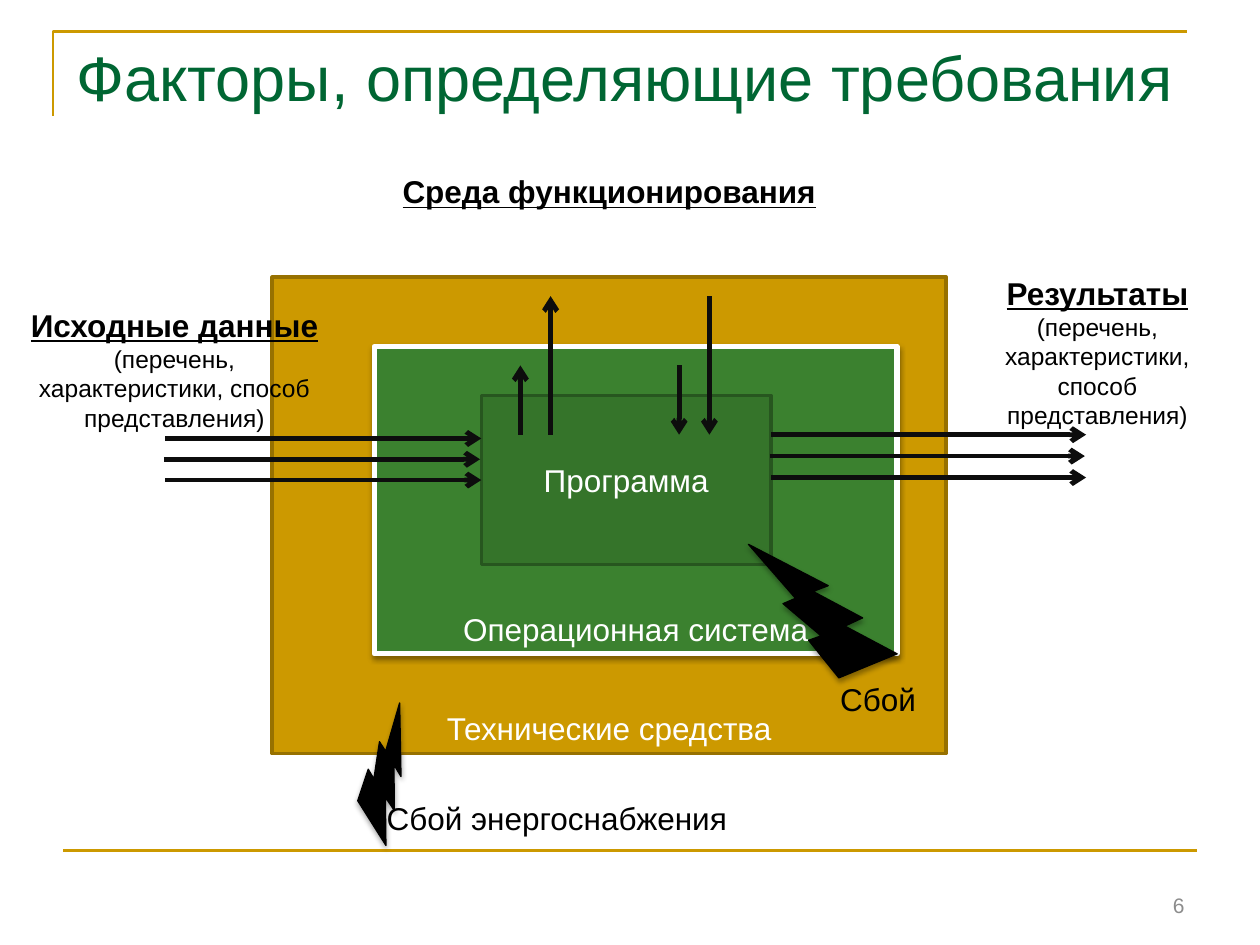
from lxml import etree
from pptx import Presentation
from pptx.dml.color import RGBColor
from pptx.enum.shapes import MSO_CONNECTOR, MSO_SHAPE
from pptx.enum.text import MSO_ANCHOR, PP_ALIGN
from pptx.oxml.ns import qn
from pptx.util import Inches, Pt

RECT, BOLT = MSO_SHAPE.RECTANGLE, MSO_SHAPE.LIGHTNING_BOLT
STRAIGHT = MSO_CONNECTOR.STRAIGHT
TOP, MIDDLE, BOTTOM = MSO_ANCHOR.TOP, MSO_ANCHOR.MIDDLE, MSO_ANCHOR.BOTTOM
LEFT, CENTER, RIGHT = PP_ALIGN.LEFT, PP_ALIGN.CENTER, PP_ALIGN.RIGHT

COLORS = {
    "gold": "CC9900", "gold_edge": "977100", "title": "006633",
    "system": "3B812F", "program": "35742A", "program_edge": "27561F",
    "arrow": "0D0D0D", "black": "000000", "white": "FFFFFF", "number": "8C8C8C",
}
BODY = {"size": Pt(18)}
HEADING = {"size": Pt(18), "bold": True, "underline": True}
DETAIL = {"size": Pt(14)}


class SlideBuilder:
    font = "Arial"

    def __init__(self, slide):
        self.s = slide

    def color(self, name):
        return RGBColor.from_string(COLORS[name])

    def outline(self, sp, color, width):
        sp.line.color.rgb = self.color(color)
        sp.line.width = Pt(width)

    def fill_text(self, sp, paragraphs, color="black", align=LEFT, anchor=TOP):
        tf = sp.text_frame
        tf.word_wrap = True
        tf.vertical_anchor = anchor
        for i, runs in enumerate(paragraphs):
            p = tf.add_paragraph() if i else tf.paragraphs[0]
            p.alignment = align
            for text, style in runs:
                r = p.add_run()
                r.text = text
                r.font.name = self.font
                r.font.color.rgb = self.color(color)
                for name, value in style.items():
                    setattr(r.font, name, value)

    def text(self, box, paragraphs, **layout):
        sp = self.s.shapes.add_textbox(*map(Inches, box))
        self.fill_text(sp, paragraphs, **layout)
        return sp

    def shape(self, kind, box, fill, edge, width, rotation=0):
        sp = self.s.shapes.add_shape(kind, *map(Inches, box))
        sp.shadow.inherit = False
        sp.fill.solid()
        sp.fill.fore_color.rgb = self.color(fill)
        self.outline(sp, edge, width)
        sp.rotation = rotation
        return sp

    def block(self, box, label, fill, edge, width, anchor=BOTTOM):
        sp = self.shape(RECT, box, fill, edge, width)
        self.fill_text(sp, [[(label, BODY)]], color="white", align=CENTER, anchor=anchor)
        return sp

    def bolt(self, box, rotation):
        sp = self.shape(BOLT, box, "black", "black", 0.75, rotation)
        self.shadow(sp, 35, 1.8)

    def shadow(self, sp, opacity, distance):
        effects = sp._element.spPr.find(qn("a:effectLst"))
        outer = etree.SubElement(
            effects, qn("a:outerShdw"), blurRad=str(Pt(3.1)), dist=str(Pt(distance)),
            dir="5400000", rotWithShape="0")
        rgb = etree.SubElement(outer, qn("a:srgbClr"), val=COLORS["black"])
        etree.SubElement(rgb, qn("a:alpha"), val=str(opacity * 1000))

    def line(self, start, end, color="gold", width=1.5):
        sp = self.s.shapes.add_connector(STRAIGHT, *map(Inches, (*start, *end)))
        self.outline(sp, color, width)
        etree.SubElement(sp._element.spPr, qn("a:effectLst"))
        return sp

    def arrow(self, start, end):
        sp = self.line(start, end, "arrow", 2.75)
        ln = sp._element.spPr.find(qn("a:ln"))
        etree.SubElement(ln, qn("a:tailEnd"), type="arrow")
        return sp

    def corner(self, points):
        (x, y), *rest = [(Inches(x), Inches(y)) for x, y in points]
        fb = self.s.shapes.build_freeform(x, y)
        fb.add_line_segments(rest, close=False)
        sp = fb.convert_to_shape()
        sp.shadow.inherit = False
        sp.fill.background()
        self.outline(sp, "gold", 1.5)


def main():
    prs = Presentation()
    prs.slide_width, prs.slide_height = Inches(10), Inches(7.5)
    b = SlideBuilder(prs.slides.add_slide(prs.slide_layouts[6]))

    b.corner([(0.42, 0.92), (0.42, 0.25), (9.42, 0.25)])
    b.line((0.5, 6.75), (9.5, 6.75))
    title = b.text((0.51, 0.21, 9.49, 0.87),
                   [[("Факторы, определяющие требования", {"size": Pt(36)})]], color="title")
    title.text_frame.margin_top = Inches(0.1)
    b.text((7.17, 6.83, 2.33, 0.5), [[("6", {"size": Pt(12)})]],
           color="number", align=RIGHT, anchor=BOTTOM)

    b.block((2.16, 2.2, 5.35, 3.78), "Технические средства", "gold", "gold_edge", 2)
    system = b.block((2.97, 2.75, 4.15, 2.44), "Операционная система", "system", "white", 3)
    b.shadow(system, 38, 1.6)
    b.text((6.57, 5.35, 0.94, 0.4), [[("Сбой", BODY)]])
    b.text((2.97, 6.29, 3.15, 0.4), [[("Сбой энергоснабжения", BODY)]])
    b.bolt((2.55, 5.88, 1.04, 0.56), 251.7)
    program = b.block((3.82, 3.14, 2.3, 1.34), "Программа", "program", "program_edge", 2, MIDDLE)
    b.bolt((5.94, 4.32, 1.18, 1.06), 180)

    for x_up, y in ((4.37, 2.35), (4.13, 2.9)):
        x_down = x_up + 1.26
        b.arrow((x_up, 3.45), (x_up, y))
        b.arrow((x_down, y), (x_down, 3.45))

    for i, shift in enumerate((0, -0.01, 0)):
        y_in, y_out = 3.48 + 0.165 * i, 3.45 + 0.17 * i
        b.arrow((6.12 + shift, y_out), (8.62 + shift, y_out))
        data = b.arrow((1.31 + shift, y_in), (3.82 + shift, y_in))
    data.end_connect(program, 1)

    detail = ("(перечень, характеристики, способ представления)", DETAIL)
    b.text((7.62, 2.11, 2.18, 1.35),
           [[("Результаты", HEADING), (" ", {"size": Pt(18), "bold": True}), detail]],
           align=CENTER, anchor=BOTTOM)
    b.text((0.06, 2.37, 2.65, 1.11), [[("Исходные данные", HEADING)], [detail]],
           align=CENTER, anchor=BOTTOM)
    b.text((3.02, 1.32, 3.63, 0.4), [[("Среда функционирования", HEADING)]], align=CENTER)

    prs.save("out.pptx")


if __name__ == "__main__":
    main()
